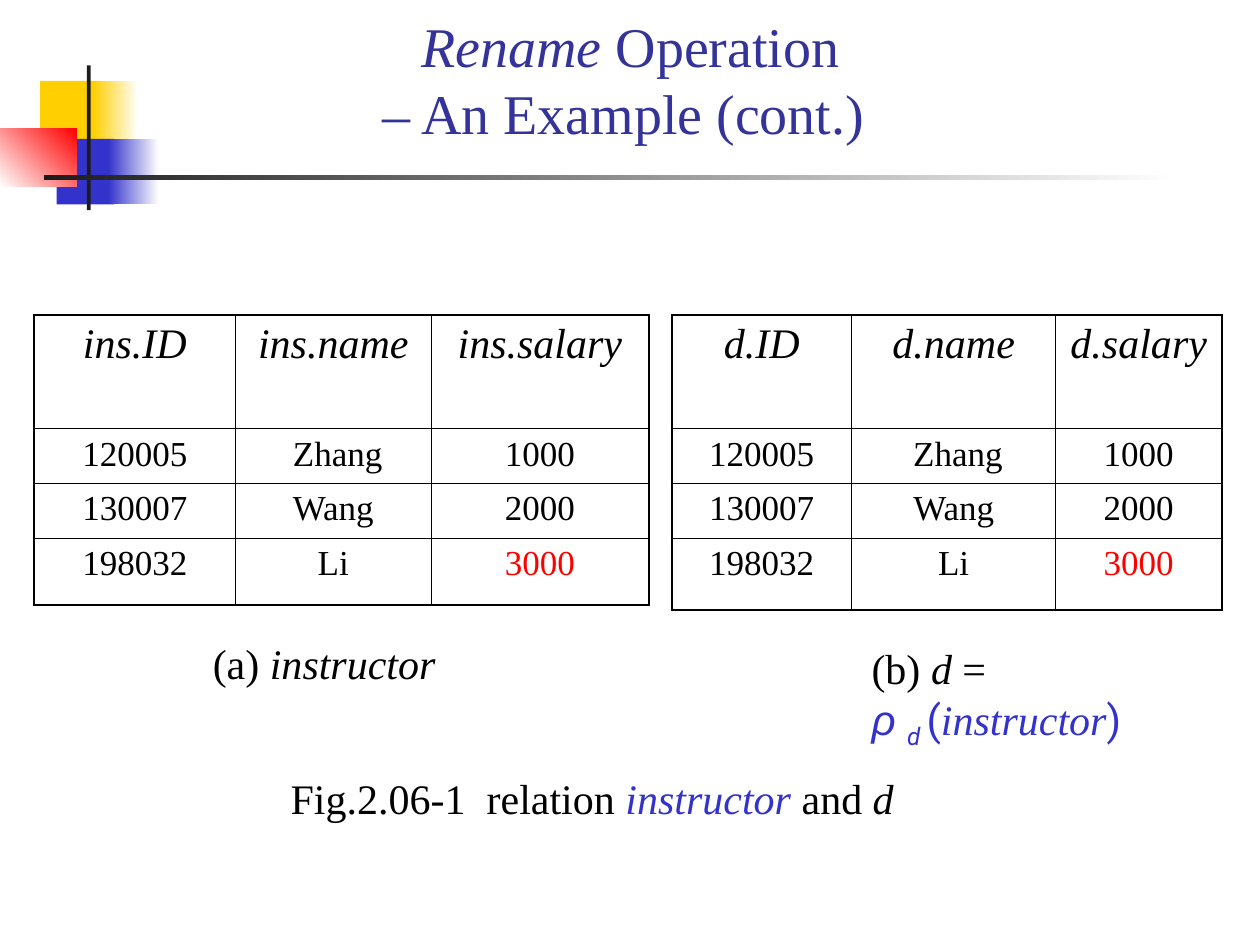
from lxml.etree import SubElement
from pptx import Presentation
from pptx.dml.color import RGBColor
from pptx.enum.shapes import MSO_SHAPE
from pptx.enum.text import MSO_ANCHOR, PP_ALIGN
from pptx.oxml.ns import qn
from pptx.util import Cm, Pt

BLACK = RGBColor(0x00, 0x00, 0x00)
WHITE = RGBColor(0xFF, 0xFF, 0xFF)
RED = RGBColor(0xFF, 0x00, 0x00)
BLUE = RGBColor(0x33, 0x33, 0xCC)
NAVY = RGBColor(0x33, 0x33, 0x99)
GOLD = RGBColor(0xFF, 0xCF, 0x01)
DARK = RGBColor(0x1C, 0x1C, 0x1C)
THIN, THICK = Pt(0.45), Pt(1.08)
SERIF = "Times New Roman"


def write(frame, lines, size=24, color=BLACK, align=PP_ALIGN.LEFT):
    """Fill a frame; each line is a list of (text, format) runs."""
    for i, line in enumerate(lines):
        para = frame.paragraphs[0] if i == 0 else frame.add_paragraph()
        para.alignment = align
        for text, form in line:
            run = para.add_run()
            run.text = text
            font = run.font
            font.size = Pt(size)
            font.name = form.get("name", SERIF)
            font.italic = form.get("italic", False)
            font.color.rgb = form.get("color", color)
            if "base" in form:
                run._r.get_or_add_rPr().set("baseline", str(form["base"] * 1000))


def add_text(slide, box, lines, anchor=MSO_ANCHOR.TOP, wrap=True, **form):
    frame = slide.shapes.add_textbox(*map(Cm, box)).text_frame
    frame.word_wrap = wrap
    frame.vertical_anchor = anchor
    write(frame, lines, **form)


def add_block(slide, box, color, end=None, angle=0):
    """Draw a plain rectangle, or one that fades from color to end."""
    block = slide.shapes.add_shape(MSO_SHAPE.RECTANGLE, *map(Cm, box))
    block.shadow.inherit = False
    block.line.fill.background()
    if end is None:
        block.fill.solid()
        block.fill.fore_color.rgb = color
        return
    block.fill.gradient()
    block.fill.gradient_angle = angle
    for stop, tone in zip(block.fill.gradient_stops, (color, end)):
        stop.color.rgb = tone


def add_motif(slide, left, top):
    """Draw the coloured squares and the two crossing bars."""
    for x, y, w, h, *fill in (
        (0.81, 0.31, 1.22, 1.32, GOLD),
        (1.88, 0.31, 0.91, 1.32, GOLD, WHITE),
        (1.14, 1.48, 1.17, 1.32, BLUE),
        (2.18, 1.48, 1.02, 1.32, BLUE, WHITE),
        (0, 1.27, 1.55, 1.17, WHITE, RED, 45),
        (1.75, 0, 0.08, 2.92, DARK),
        (0.89, 2.21, 22.86, 0.1, DARK, WHITE),
    ):
        add_block(slide, (left + x, top + y, w, h), *fill)


def set_edges(cell, edges):
    props = cell._tc.get_or_add_tcPr()
    for tag, width in edges.items():
        line = SubElement(props, qn(f"a:{tag}"), w=str(width))
        fill = SubElement(line, qn("a:solidFill"))
        SubElement(fill, qn("a:srgbClr"), val=str(BLACK))


def add_relation(slide, left, top, name, cols, rows):
    """Draw a table with a heavy outer frame and its column names prefixed."""
    data = [
        [f"{name}.{field}" for field in ("ID", "name", "salary")],
        ["120005", " Zhang", "1000"],
        ["130007", "Wang", "2000"],
        ["198032", "Li", "3000"],
    ]
    size = Cm(sum(cols)), Cm(sum(rows))
    table = slide.shapes.add_table(
        len(rows), len(cols), Cm(left), Cm(top), *size).table
    table.first_row = table.horz_banding = False
    for col, width in zip(table.columns, cols):
        col.width = Cm(width)
    for row, height in zip(table.rows, rows):
        row.height = Cm(height)
    last, end = len(rows) - 1, len(cols) - 1
    for r, line in enumerate(data):
        for c, text in enumerate(line):
            cell = table.cell(r, c)
            set_edges(cell, {
                "lnL": THICK if c == 0 else THIN,
                "lnR": THICK if c == end else THIN,
                "lnT": THICK if r == 0 else THIN,
                "lnB": THICK if r == last else THIN,
            })
            cell.fill.background()
            write(cell.text_frame, [[(text, {"italic": r == 0})]],
                  size=20 if r else 24,
                  color=RED if (r, c) == (last, end) else BLACK,
                  align=PP_ALIGN.CENTER)


def add_labels(slide, left, top):
    """Write the captions below the tables and the figure title."""
    slant = {"italic": True}
    sans = {"name": "Roboto", "color": BLUE}
    add_text(slide, (left, top, 5.21, 1.27),
             [[("(a) ", {}), ("instructor", slant)]], wrap=False)
    add_text(slide, (left + 13.28, top + 0.1, 5.99, 2.44), [
        [("(b) ", {}), ("d", slant), (" =", {})],
        [("ρ ", {"name": "Arial", "color": BLUE, **slant}),
         ("d ", {"base": -25, **sans, **slant}),
         ("(", sans),
         ("instructor", {"color": BLUE, **slant}),
         (")", sans)],
    ])
    add_text(slide, (left + 1.57, top + 2.72, 13.31, 1.27), [
        [("Fig.2.06-1  relation ", {}),
         ("instructor ", {"color": BLUE, **slant}),
         ("and", {}), (" d", slant)],
    ])


def main():
    deck = Presentation()
    deck.slide_width, deck.slide_height = Cm(25.4), Cm(19.05)
    slide = deck.slides.add_slide(deck.slide_layouts[6])
    add_motif(slide, 0, 1.32)
    add_text(slide, (1.7, 0, 22.02, 3.18), [
        [("Rename", {"italic": True}), (" Operation", {})],
        [("– An Example (cont.) ", {})],
    ], anchor=MSO_ANCHOR.MIDDLE, size=32, color=NAVY, align=PP_ALIGN.CENTER)
    add_relation(slide, 0.69, 6.35, "ins",
                 (4.06, 3.94, 4.39), (2.29, 1.1, 1.1, 1.35))
    add_relation(slide, 13.54, 6.35, "d",
                 (3.63, 4.11, 3.35), (2.29, 1.1, 1.1, 1.45))
    add_labels(slide, 4.04, 12.73)
    deck.save("out.pptx")


if __name__ == "__main__":
    main()
